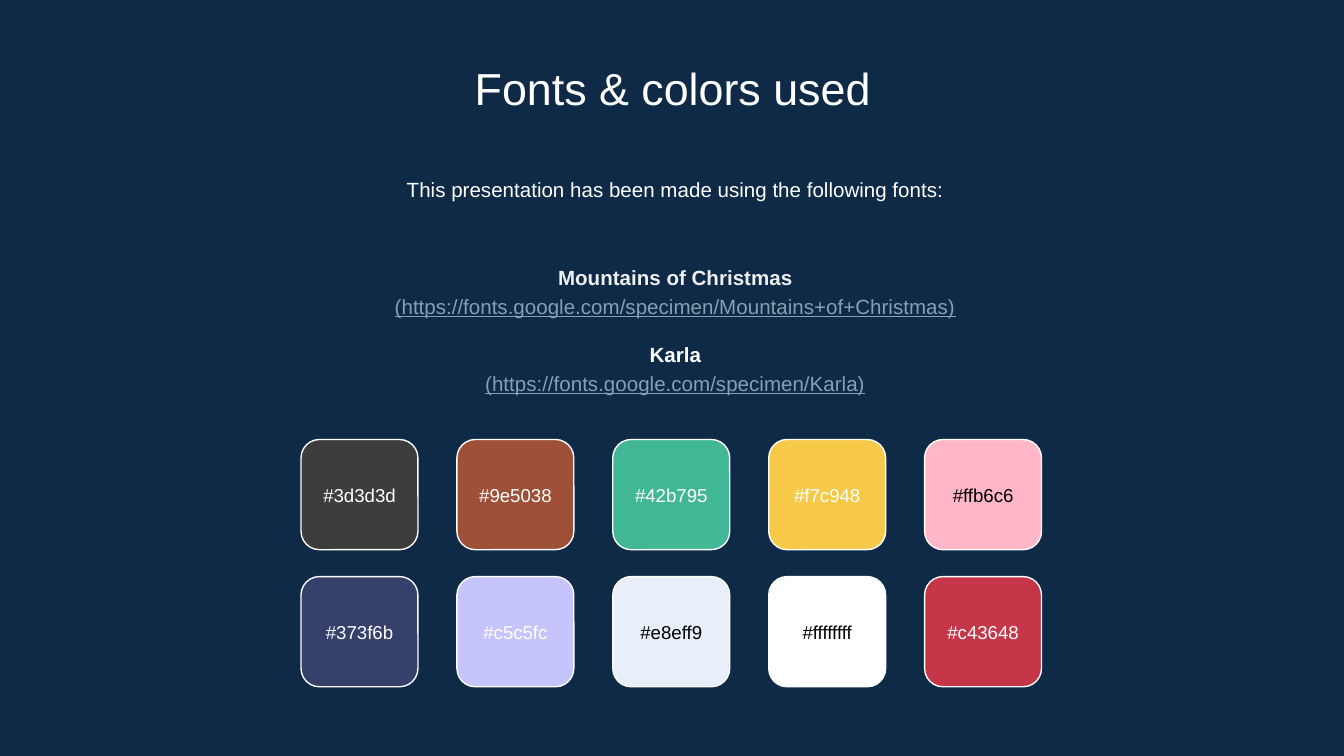
from pptx import Presentation
from pptx.dml.color import RGBColor
from pptx.enum.shapes import MSO_SHAPE as Shape
from pptx.enum.text import MSO_ANCHOR as Anchor, MSO_AUTO_SIZE as AutoSize, PP_ALIGN as Align
from pptx.util import Inches, Pt

FONT = "Arial"
SLIDE_WIDTH = 10
SLIDE_HEIGHT = SLIDE_WIDTH * 9 / 16
COLORS = {
    "background": "0E2A47",
    "white": "FFFFFF",
    "black": "000000",
    "font_name": "EFEFEF",
    "link": "869FB2",
}

# Swatch grid: label and text colour, row by row
SWATCHES = [
    [("#3d3d3d", "white"), ("#9e5038", "white"), ("#42b795", "white"),
     ("#f7c948", "white"), ("#ffb6c6", "black")],
    [("#373f6b", "white"), ("#c5c5fc", "white"), ("#e8eff9", "black"),
     ("#ffffffff", "black"), ("#c43648", "white")],
]
GRID_LEFT, GRID_TOP = 2.24, 3.27
COLUMN_STEP, ROW_STEP = 1.16, 1.02
SWATCH_WIDTH, SWATCH_HEIGHT = 0.87, 0.82
LABEL_HEIGHT = 0.48


def rgb(name):
    return RGBColor.from_string(COLORS[name])


def set_frame(frame, anchor):
    frame.word_wrap = True
    frame.auto_size = AutoSize.NONE
    frame.vertical_anchor = anchor
    frame.margin_left = frame.margin_right = Inches(0.1)
    frame.margin_top = frame.margin_bottom = Inches(0.1)


def style_paragraph(paragraph, size, color, bold=False, underline=False, spacing=1.0):
    paragraph.alignment = Align.CENTER
    paragraph.line_spacing = spacing
    for run in paragraph.runs:
        run.font.name = FONT
        run.font.size = Pt(size)
        run.font.bold = bold
        run.font.underline = underline
        run.font.color.rgb = rgb(color)


def add_text(slide, left, top, width, height, text, anchor=Anchor.TOP):
    box = slide.shapes.add_textbox(Inches(left), Inches(top), Inches(width), Inches(height))
    set_frame(box.text_frame, anchor)
    box.text_frame.text = text
    return box.text_frame.paragraphs


def add_title(slide, text):
    title = slide.shapes.title
    title.left, title.top = Inches(1.15), Inches(0.35)
    title.width, title.height = Inches(7.71), Inches(0.53)
    set_frame(title.text_frame, Anchor.TOP)
    title.text_frame.text = text
    style_paragraph(title.text_frame.paragraphs[0], 24, "white")


def add_font_list(slide):
    name_1, link_1, name_2, link_2 = add_text(
        slide, 1.17, 1.76, 7.71, 1.37,
        "Mountains of Christmas\n"
        "(https://fonts.google.com/specimen/Mountains+of+Christmas)\n"
        "Karla\n"
        "(https://fonts.google.com/specimen/Karla)",
        Anchor.MIDDLE)
    style_paragraph(name_1, 11, "font_name", bold=True, spacing=1.15)
    style_paragraph(name_2, 11, "white", bold=True, spacing=1.15)
    name_2.space_before = Pt(11)
    for link in (link_1, link_2):
        style_paragraph(link, 11, "link", underline=True, spacing=1.15)


def add_swatch(slide, left, top, label, text_color):
    tile = slide.shapes.add_shape(Shape.ROUNDED_RECTANGLE, Inches(left), Inches(top),
                                  Inches(SWATCH_WIDTH), Inches(SWATCH_HEIGHT))
    tile.shadow.inherit = False
    tile.fill.solid()
    tile.fill.fore_color.rgb = RGBColor.from_string(label[1:7].upper())
    tile.line.color.rgb = rgb("white")
    tile.line.width = Pt(0.75)

    label_top = top + (SWATCH_HEIGHT - LABEL_HEIGHT) / 2
    caption = add_text(slide, left, label_top, SWATCH_WIDTH, LABEL_HEIGHT, label, Anchor.MIDDLE)
    style_paragraph(caption[0], 10, text_color)


def main():
    prs = Presentation()
    prs.slide_width, prs.slide_height = Inches(SLIDE_WIDTH), Inches(SLIDE_HEIGHT)
    slide = prs.slides.add_slide(prs.slide_layouts[5])
    slide.background.fill.solid()
    slide.background.fill.fore_color.rgb = rgb("background")

    # Title and fonts
    add_title(slide, "Fonts & colors used")
    intro = add_text(slide, 1.17, 1.19, 7.71, 0.48,
                     "This presentation has been made using the following fonts:")
    style_paragraph(intro[0], 11, "white", spacing=1.15)
    add_font_list(slide)

    # Colour swatches
    for row, swatches in enumerate(SWATCHES):
        for column, (label, text_color) in enumerate(swatches):
            add_swatch(slide, GRID_LEFT + column * COLUMN_STEP, GRID_TOP + row * ROW_STEP,
                       label, text_color)

    prs.save("out.pptx")


if __name__ == "__main__":
    main()
